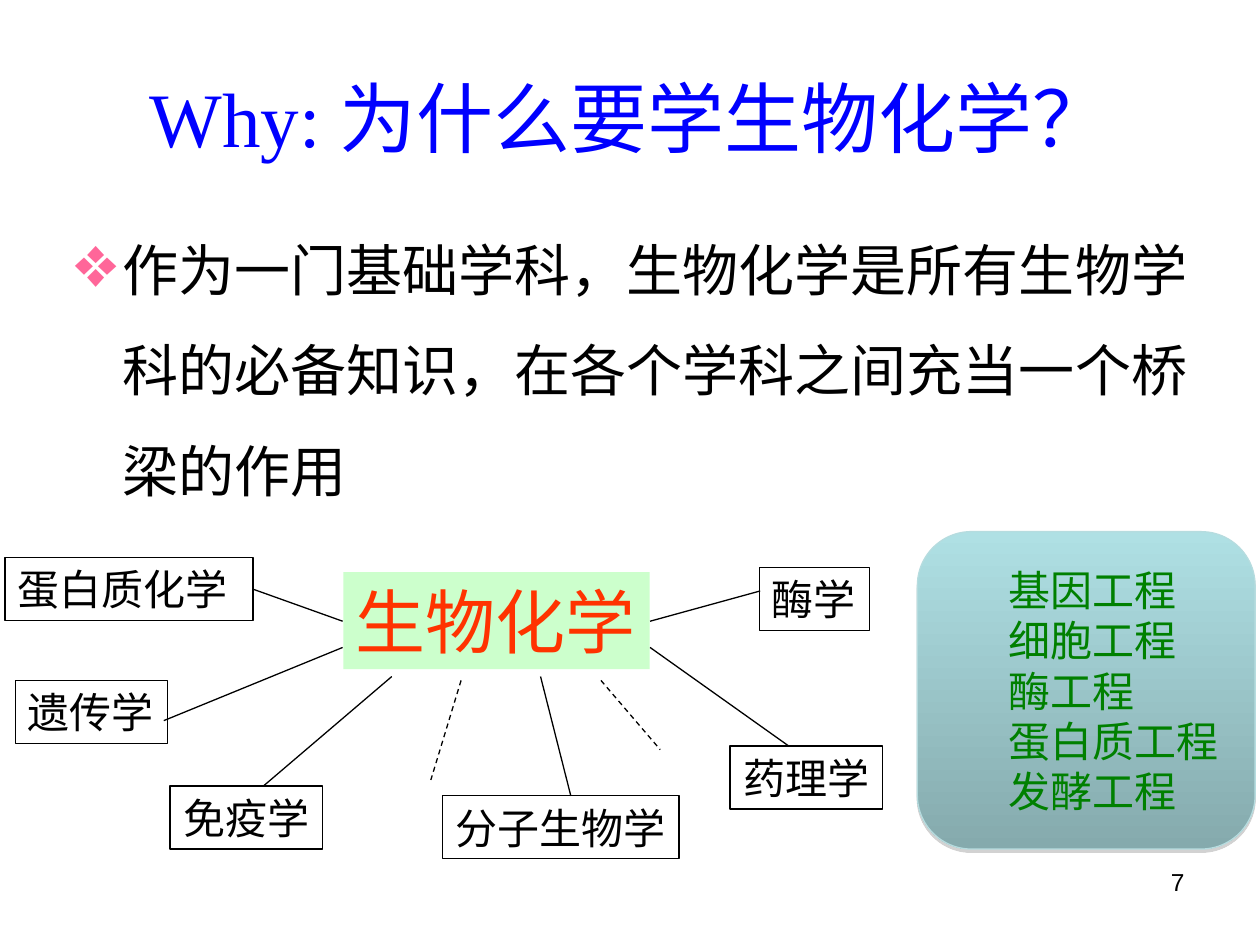
from lxml import etree
from pptx import Presentation
from pptx.dml.color import RGBColor
from pptx.enum import dml, shapes, text
from pptx.oxml import ns
from pptx.util import Pt

BLACK = RGBColor(0x00, 0x00, 0x00)
BLUE = RGBColor(0x00, 0x00, 0xFF)
PINK = RGBColor(0xFF, 0x66, 0x99)
ORANGE = RGBColor(0xFF, 0x33, 0x00)
GREEN = RGBColor(0x00, 0x80, 0x00)
MINT = RGBColor(0xCC, 0xFF, 0xCC)
PANEL_TOP = RGBColor(0xAF, 0xE0, 0xE4)
PANEL_BOTTOM = RGBColor(0x85, 0xAA, 0xAD)
PANEL_LINE = RGBColor(0xB6, 0xDC, 0xDF)
SHADOW_GRAY = RGBColor(0x80, 0x80, 0x80)
SERIF, SANS = "Times New Roman", "Arial"
ALIGN, ANCHOR = text.PP_ALIGN, text.MSO_ANCHOR
LABEL_SIZE = 24
SIDE_MARGINS = 15  # both text insets, with a little slack


def add(parent, tag, **attributes):
    """Append an XML child such as a:buChar and return it."""
    values = {name: str(value) for name, value in attributes.items()}
    return etree.SubElement(parent, ns.qn(tag), values)


def write(shape, content, size, color=BLACK, font=SERIF, align=ALIGN.LEFT,
          anchor=ANCHOR.TOP, wrap=True, fit=False, margin=0, hanging=0,
          bullet=None, spacing=None):
    """Fill a shape with one paragraph per line of content."""
    frame = shape.text_frame
    frame.text = content
    frame.word_wrap = wrap
    frame.vertical_anchor = anchor
    sizing = text.MSO_AUTO_SIZE
    frame.auto_size = sizing.SHAPE_TO_FIT_TEXT if fit else sizing.NONE
    for paragraph in frame.paragraphs:
        paragraph.alignment = align
        if spacing:
            paragraph.line_spacing = spacing
        properties = paragraph._p.get_or_add_pPr()
        properties.set("marL", str(Pt(margin)))
        properties.set("indent", str(Pt(-hanging)))
        if bullet:
            add(add(properties, "a:buClr"), "a:srgbClr", val=PINK)
            add(properties, "a:buSzPct", val=130000)
            add(properties, "a:buChar", char=bullet)
        for run in paragraph.runs:
            run.font.name = font
            run.font.size = Pt(size)
            run.font.color.rgb = color


presentation = Presentation()
presentation.slide_width, presentation.slide_height = Pt(720), Pt(540)
slide = presentation.slides.add_slide(presentation.slide_layouts[5])

# Title, statement and page number
title = slide.shapes.title
title.left, title.top, title.width, title.height = Pt(36), Pt(21.6), Pt(648), Pt(90)
write(title, "Why: 为什么要学生物化学？", 44, BLUE, align=ALIGN.CENTER,
      anchor=ANCHOR.MIDDLE)

statement = slide.shapes.add_textbox(Pt(36), Pt(111.6), Pt(658.8), Pt(356.4))
write(statement,
      "作为一门基础学科，生物化学是所有生物学科的必备知识，在各个学科之间充当一个桥梁的作用",
      32, margin=27, hanging=27, bullet="❖", spacing=1.5)

page_number = slide.shapes.add_textbox(Pt(516), Pt(492), Pt(168), Pt(37.4))
write(page_number, "7", 14, font=SANS, align=ALIGN.RIGHT)

# Central subject
center = slide.shapes.add_shape(shapes.MSO_SHAPE.RECTANGLE,
                                Pt(196.2), Pt(327), Pt(175), Pt(55.4))
center.shadow.inherit = False
center.fill.solid()
center.fill.fore_color.rgb = MINT
center.line.fill.background()
write(center, "生物化学", 40, ORANGE, wrap=False, fit=True)

# Related subjects: name, left, top, extra width, font, alignment
subjects = [
    ("遗传学", 8.7, 389, 0, SERIF, ALIGN.LEFT),
    ("免疫学", 97.2, 449.2, 0, SERIF, ALIGN.CENTER),
    ("药理学", 417.2, 426.3, 0, SERIF, ALIGN.CENTER),
    ("分子生物学", 253, 454.8, 0, SERIF, ALIGN.CENTER),
    ("酶学", 434, 324.3, 0, SANS, ALIGN.LEFT),
    ("蛋白质化学", 2.9, 318.7, 6.8, SANS, ALIGN.LEFT),
]
boxes = {}
for name, left, top, extra, font, align in subjects:
    width = len(name) * LABEL_SIZE + SIDE_MARGINS + extra
    box = slide.shapes.add_shape(shapes.MSO_SHAPE.RECTANGLE,
                                 Pt(left), Pt(top), Pt(width), Pt(36))
    box.shadow.inherit = False
    box.fill.background()
    box.line.color.rgb = BLACK
    box.line.width = Pt(0.75)
    write(box, name, LABEL_SIZE, font=font, align=align, wrap=extra > 0, fit=True)
    boxes[name] = box

# Spokes: start x, start y, end x, end y, dashed, box joined at its right side
spokes = [
    (195.8, 370, 93.6, 411.8, False, None),
    (223.9, 386.6, 150.5, 449.2, False, None),
    (308.9, 386.6, 326.2, 454.8, False, None),
    (371.5, 370, 450.7, 426.3, False, None),
    (263.5, 388.8, 246.2, 445.7, True, None),
    (343.4, 388.8, 377.3, 428.4, True, None),
    (371.5, 355, 434.4, 337.7, False, None),
    (195.8, 355, 144.7, 336.7, False, "蛋白质化学"),
]
for x1, y1, x2, y2, dashed, joined in spokes:
    spoke = slide.shapes.add_connector(shapes.MSO_CONNECTOR.STRAIGHT,
                                       Pt(x1), Pt(y1), Pt(x2), Pt(y2))
    spoke.line.color.rgb = BLACK
    spoke.line.width = Pt(0.75)
    if dashed:
        spoke.line.dash_style = dml.MSO_LINE.DASH
    add(spoke._element.spPr, "a:effectLst")
    if joined:
        spoke.end_connect(boxes[joined], 3)

# Engineering panel
panel = slide.shapes.add_shape(shapes.MSO_SHAPE.ROUNDED_RECTANGLE,
                               Pt(524.2), Pt(303.8), Pt(193), Pt(181.4))
panel.adjustments[0] = 0.17
panel.fill.gradient()
panel.fill.gradient_angle = 270
for stop, color, position in zip(panel.fill.gradient_stops,
                                 (PANEL_TOP, PANEL_BOTTOM), (0, 1)):
    stop.color.rgb = color
    stop.position = position
panel.line.color.rgb = PANEL_LINE
panel.line.width = Pt(0.75)
effects = add(panel._element.spPr, "a:effectLst")
shadow = add(effects, "a:outerShdw", blurRad=0, dist=Pt(1.8), dir=90 * 60000,
             rotWithShape=0)
add(add(shadow, "a:srgbClr", val=SHADOW_GRAY), "a:alpha", val=35000)
write(panel, "基因工程\n细胞工程\n酶工程\n蛋白质工程\n发酵工程", LABEL_SIZE, GREEN,
      align=ALIGN.JUSTIFY, anchor=ANCHOR.MIDDLE, margin=36)

presentation.save("out.pptx")
